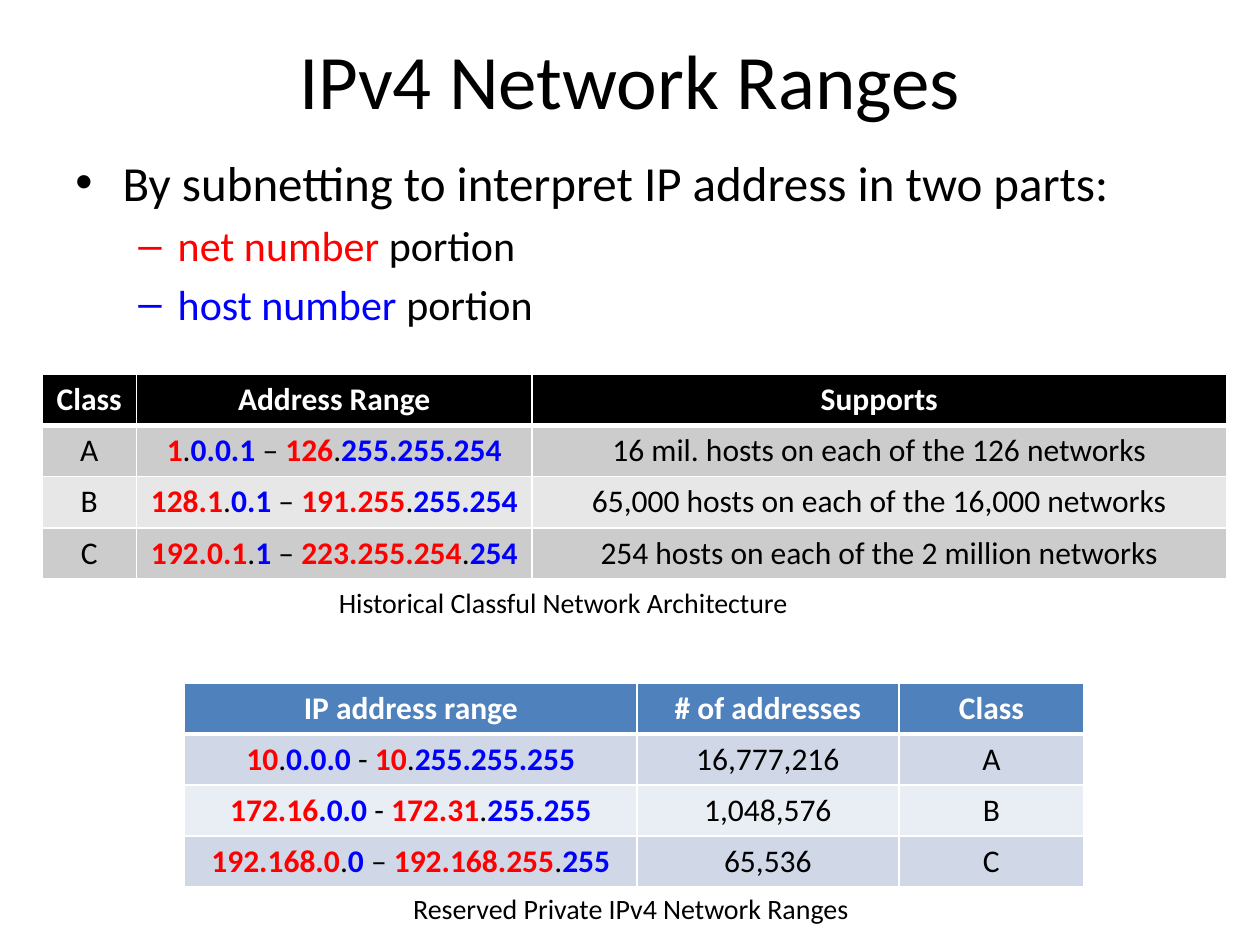
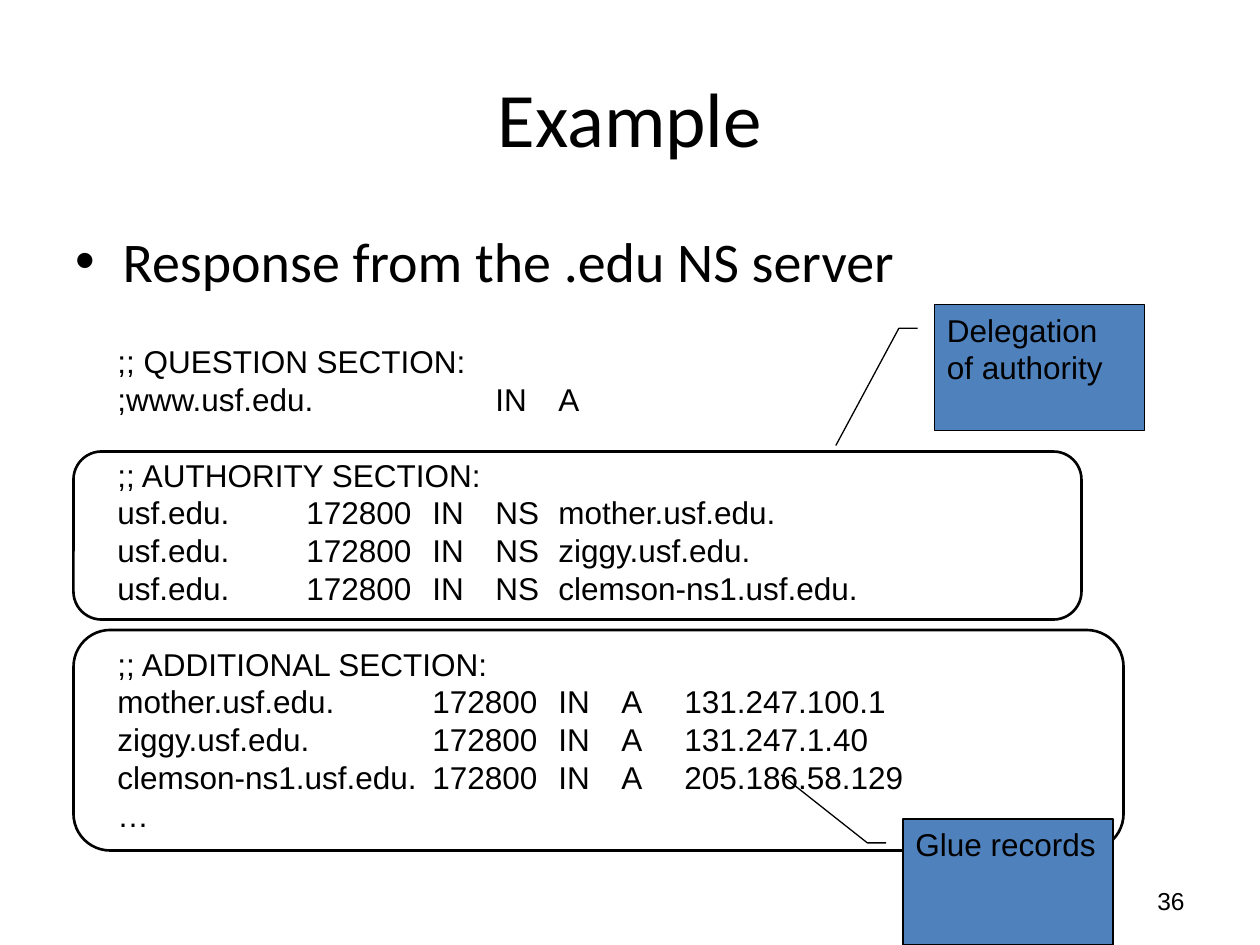
from dataclasses import dataclass
from lxml import etree
from pptx import Presentation
from pptx.dml.color import RGBColor
from pptx.enum import shapes, text
from pptx.oxml.ns import qn
from pptx.util import Pt

HUES = {"black": "000000", "white": "FFFFFF", "net": "FF0000", "host": "0000FF",
        "blue": "4F81BD", "odd": "D0D8E8", "even": "E9EDF4",
        "dark": "CCCCCC", "light": "E7E7E7"}
SANS, ARIAL = "Calibri", "Arial"
LEFT, MID, RIGHT = text.PP_ALIGN.LEFT, text.PP_ALIGN.CENTER, text.PP_ALIGN.RIGHT
TOP, CENTRE = text.MSO_ANCHOR.TOP, text.MSO_ANCHOR.MIDDLE


@dataclass
class Box:
    x: float
    y: float
    w: float
    h: float

    def lengths(self) -> list:
        return [Pt(v) for v in (self.x, self.y, self.w, self.h)]


@dataclass
class Run:
    text: str
    hue: str = "black"
    bold: bool = False


@dataclass
class Para:
    runs: list[Run]
    size: float = 18
    font: str = SANS
    align: int = LEFT
    gap: float = 0
    mark: str = ""       # bullet character
    indent: float = 0    # left margin of the text
    hang: float = 0      # distance from bullet to text
    tabs: int = 0        # number of half-inch tab stops


@dataclass
class Grid:
    box: Box
    cols: list[float]
    head: str
    bands: tuple[str, str]
    rows: list[list]


@dataclass
class Call:
    box: Box
    label: str
    bend: list[float]


def rgb(hue: str) -> RGBColor:
    return RGBColor.from_string(HUES[hue])


def paint(node, hue: str) -> None:
    fill = etree.SubElement(node, qn("a:solidFill"))
    etree.SubElement(fill, qn("a:srgbClr"), val=HUES[hue])


def plain(words: str, **style) -> Para:
    return Para([Run(words)], **style)


# Text
def write(frame, paras: list[Para]) -> None:
    for i, para in enumerate(paras):
        line = frame.add_paragraph() if i else frame.paragraphs[0]
        props = line._p.get_or_add_pPr()
        if para.mark:
            props.set("marL", str(Pt(para.indent)))
            props.set("indent", str(-Pt(para.hang)))
            tint = etree.SubElement(props, qn("a:buClr"))
            etree.SubElement(tint, qn("a:srgbClr"), val=HUES[para.runs[0].hue])
            etree.SubElement(props, qn("a:buFont"), typeface=ARIAL)
            etree.SubElement(props, qn("a:buChar"), char=para.mark)
        if para.tabs:
            stops = etree.SubElement(props, qn("a:tabLst"))
            for n in range(1, para.tabs + 1):
                etree.SubElement(stops, qn("a:tab"), pos=str(Pt(36 * n)), algn="l")
        line.alignment = para.align
        line.space_before = Pt(para.gap)
        line.font.size, line.font.name = Pt(para.size), para.font
        first = para.runs[0]
        same = all((r.hue, r.bold) == (first.hue, first.bold) for r in para.runs)
        if same:
            line.font.color.rgb, line.font.bold = rgb(first.hue), first.bold
        for run in para.runs:
            part = line.add_run()
            part.text = run.text
            if not same:
                part.font.color.rgb, part.font.bold = rgb(run.hue), run.bold


def note(slide, box: Box, paras: list[Para], anchor=TOP) -> None:
    frame = slide.shapes.add_textbox(*box.lengths()).text_frame
    frame.word_wrap = True
    frame.vertical_anchor = anchor
    write(frame, paras)


def title(slide, words: str, y: float) -> None:
    note(slide, Box(36, y, 648, 90), [plain(words, size=44, align=MID)], CENTRE)


def bullet(words: str, size: float) -> Para:
    return plain(words, size=size, mark="•", indent=27, hang=27)


def portion(kind: str) -> Para:
    return Para([Run(f"{kind} number ", kind), Run("portion")], size=24,
                gap=4.8, mark="–", indent=58.5, hang=22.5)


# Tables
def span(low: str, high: str, dash: str = "–") -> list[Run]:
    """Each end is network|host; a host with its own dot keeps it coloured."""
    def end(address: str) -> list[Run]:
        net, host = address.split("|")
        dot = [] if host.startswith(".") else [Run(".")]
        return [Run(net, "net", True), *dot, Run(host, "host", True)]
    return [*end(low), Run(f" {dash} "), *end(high)]


def edge(cell, head: bool) -> None:
    props = cell._tc.get_or_add_tcPr()
    for side in "LRTB":
        wide = 3 if head and side == "B" else 1
        paint(etree.SubElement(props, qn(f"a:ln{side}"), w=str(Pt(wide))), "white")


def table(slide, grid: Grid) -> None:
    count = len(grid.rows)
    tab = slide.shapes.add_table(count, len(grid.cols), *grid.box.lengths()).table
    tab.first_row = tab.horz_banding = False
    for col, wide in zip(tab.columns, grid.cols):
        col.width = Pt(wide)
    for r, row in enumerate(grid.rows):
        tab.rows[r].height = Pt(grid.box.h / count)
        for c, item in enumerate(row):
            cell = tab.cell(r, c)
            edge(cell, r == 0)
            cell.fill.solid()
            cell.fill.fore_color.rgb = rgb(grid.bands[(r - 1) % 2] if r else grid.head)
            if isinstance(item, str):
                item = [Run(item) if r else Run(item, "white", True)]
            write(cell.text_frame, [Para(item, align=MID)])


# Frames and callouts
def outline(slide, kind, box: Box, wide: float):
    shape = slide.shapes.add_shape(kind, *box.lengths())
    shape.shadow.inherit = False
    shape.fill.background()
    shape.line.color.rgb, shape.line.width = rgb("black"), Pt(wide)
    return shape


def callout(slide, call: Call) -> None:
    shape = outline(slide, shapes.MSO_SHAPE.LINE_CALLOUT_2, call.box, 0.75)
    shape.fill.solid()
    shape.fill.fore_color.rgb = rgb("blue")
    for i, value in enumerate([0.19, -0.08, 0.19, -0.17, *call.bend]):
        shape.adjustments[i] = value
    shape.text_frame.vertical_anchor = TOP
    write(shape.text_frame, [plain(call.label, font=ARIAL)])


PRIVATE = Grid(Box(105.5, 390.2, 514, 116.8), [258.5, 149.6, 105.9], "blue", ("odd", "even"), [
    ["IP address range", "# of addresses", "Class"],
    [span("10|0.0.0", "10|255.255.255", "-"), "16,777,216", "A"],
    [span("172.16|.0.0", "172.31|255.255", "-"), "1,048,576", "B"],
    [span("192.168.0|0", "192.168.255|255"), "65,536", "C"]])
CLASSES = Grid(Box(24, 214, 677, 116.8), [54, 226, 397], "black", ("dark", "light"), [
    ["Class", "Address Range", "Supports"],
    ["A", span("1|0.0.1", "126|255.255.254"), "16 mil. hosts on each of the 126 networks"],
    ["B", span("128.1|0.1", "191.255|255.254"), "65,000 hosts on each of the 16,000 networks"],
    ["C", span("192.0.1|1", "223.255.254|254"), "254 hosts on each of the 2 million networks"]])

# Reply sections, one list of lines each
REPLY = [
    [";; QUESTION SECTION:", ";www.usf.edu.\t\t\tIN\tA"],
    [";; AUTHORITY SECTION:",
     *(f"usf.edu.\t\t172800\tIN\tNS\t{host}.usf.edu."
       for host in ("mother", "ziggy", "clemson-ns1"))],
    [";; ADDITIONAL SECTION:",
     "mother.usf.edu.\t\t172800\tIN\tA\t131.247.100.1",
     "ziggy.usf.edu.\t\t172800\tIN\tA\t131.247.1.40",
     "clemson-ns1.usf.edu.\t172800\tIN\tA\t205.186.58.129", "…"]]


def ranges(slide) -> None:
    title(slide, "IPv4 Network Ranges", 0)
    note(slide, Box(36, 83.5, 648, 399), [
        bullet("By subnetting to interpret IP address in two parts:", 28),
        portion("net"), portion("host")])
    table(slide, PRIVATE)
    note(slide, Box(229, 506, 314, 26.6), [plain("Reserved Private IPv4 Network Ranges", size=16)])
    note(slide, Box(186.5, 331, 314, 26.6),
         [plain("Historical Classful Network Architecture", size=16)])
    table(slide, CLASSES)


def example(slide) -> None:
    title(slide, "Example", 21.6)
    note(slide, Box(36, 126, 648, 356.4), [bullet("Response from the .edu NS server", 32)])
    note(slide, Box(60, 192, 594, 291), [
        plain(line, font=ARIAL, tabs=14, gap=21.6 if part and not i else 0)
        for part, lines in enumerate(REPLY) for i, line in enumerate(lines)])
    frames = [Box(42, 258, 576, 96), Box(42, 360, 600, 126)]
    calls = [Call(Box(534, 174, 120, 72), "Delegation of authority", [1.12, -0.47]),
             Call(Box(516, 468, 120, 72), "Glue records", [-0.35, -0.58])]
    for box, call in zip(frames, calls):
        outline(slide, shapes.MSO_SHAPE.ROUNDED_RECTANGLE, box, 1.5)
        callout(slide, call)
    note(slide, Box(516, 500.4, 168, 28.8),
         [plain("36", size=14, font=ARIAL, align=RIGHT)], CENTRE)


def main() -> None:
    deck = Presentation()
    deck.slide_width, deck.slide_height = Pt(720), Pt(540)
    for build in (ranges, example):
        build(deck.slides.add_slide(deck.slide_layouts[6]))
    deck.save("out.pptx")


if __name__ == "__main__":
    main()
